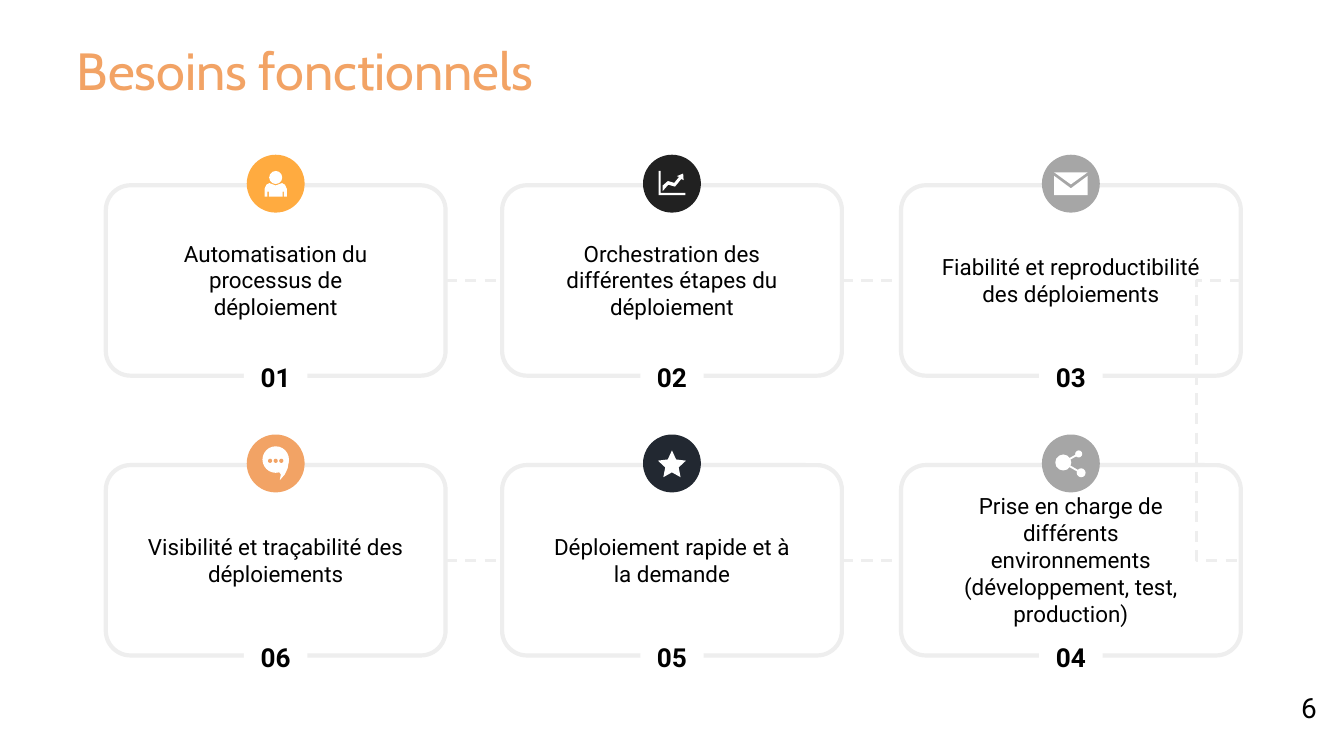
from lxml import etree
from pptx import Presentation
from pptx.dml.color import RGBColor
from pptx.enum.dml import MSO_LINE
from pptx.enum.shapes import MSO_CONNECTOR, MSO_SHAPE
from pptx.enum.text import MSO_ANCHOR, PP_ALIGN
from pptx.oxml.ns import qn
from pptx.util import Pt

ROUND, RECT = MSO_SHAPE.ROUNDED_RECTANGLE, MSO_SHAPE.RECTANGLE
OVAL, STAR = MSO_SHAPE.OVAL, MSO_SHAPE.STAR_5_POINT
STRAIGHT, ELBOW = MSO_CONNECTOR.STRAIGHT, MSO_CONNECTOR.ELBOW
DASH = MSO_LINE.DASH
TOP, MIDDLE = MSO_ANCHOR.TOP, MSO_ANCHOR.MIDDLE
LEFT, CENTER = PP_ALIGN.LEFT, PP_ALIGN.CENTER

WHITE, BLACK, GREY, PEACH = "FFFFFF", "000000", "EEEEEE", "F2A365"
MIDS = (147.7, 360, 573.7)
TOPS = (99.3, 249.2)
CARD_W, CARD_H = 182, 102
TEXT_W, TEXT_H = 152.6, 48
DISC = 15.5
RISE = 0.9


def color(code):
    return RGBColor.from_string(code)


def paint(shape, fill=None, line=None):
    shape.shadow.inherit = False
    if fill:
        shape.fill.solid()
        shape.fill.fore_color.rgb = color(fill)
    else:
        shape.fill.background()
    if line:
        shape.line.color.rgb = color(line)
        shape.line.width = Pt(2.25)
    else:
        shape.line.fill.background()
    return shape


def add_block(slide, kind, x, y, w, h, fill=None, line=None):
    shape = slide.shapes.add_shape(kind, Pt(x), Pt(y), Pt(w), Pt(h))
    return paint(shape, fill, line)


def add_dot(slide, x, y, r, fill=WHITE):
    add_block(slide, OVAL, x - r, y - r, 2 * r, 2 * r, fill)


def add_form(slide, x, y, points):
    spots = [(Pt(x + dx), Pt(y + dy)) for dx, dy in points]
    form = slide.shapes.build_freeform(*spots[0])
    form.add_line_segments(spots[1:])
    paint(form.convert_to_shape(), WHITE)


def write(shape, text, size, font="Roboto", ink=BLACK, bold=False,
          align=CENTER, anchor=TOP):
    frame = shape.text_frame
    frame.word_wrap = True
    frame.vertical_anchor = anchor
    frame.margin_left = frame.margin_right = Pt(7.2)
    frame.margin_top = frame.margin_bottom = Pt(7.2)
    line = frame.paragraphs[0]
    line.alignment = align
    run = line.add_run()
    run.text = text
    run.font.size = Pt(size)
    run.font.name = font
    run.font.bold = bold
    run.font.color.rgb = color(ink)


def add_text(slide, x, y, w, h, text, size, **style):
    box = slide.shapes.add_textbox(Pt(x), Pt(y), Pt(w), Pt(h))
    write(box, text, size, **style)


def add_line(slide, kind, x1, y1, x2, y2, ink, width):
    line = slide.shapes.add_connector(kind, Pt(x1), Pt(y1), Pt(x2), Pt(y2))
    line.line.color.rgb = color(ink)
    line.line.width = Pt(width)
    etree.SubElement(line._element.spPr, qn("a:effectLst"))
    return line


def link(slide, first, last, kind=STRAIGHT, side=1):
    line = add_line(slide, kind, 0, 0, 0, 0, GREY, 1.5)
    line.begin_connect(first, 3)
    line.end_connect(last, side)
    line.line.dash_style = DASH
    return line


def link_rows(slide, upper, lower):
    line = link(slide, upper, lower, ELBOW, 3)
    reach, span = 20.9, 0.05
    line.width = Pt(span)
    geom = line._element.spPr.find(qn("a:prstGeom"))
    guides = geom.find(qn("a:avLst"))
    if guides is None:
        guides = etree.SubElement(geom, qn("a:avLst"))
    guide = etree.SubElement(guides, qn("a:gd"))
    guide.set("name", "adj1")
    guide.set("fmla", f"val {round(reach / span * 100000)}")


def draw_user(slide, x, y):
    add_dot(slide, x, y - 3.3, 3.5)
    add_form(slide, x, y, [
        (-6, 7), (-6, 2.8), (-5, 0.6), (-3.4, -0.3), (0, 1), (3.4, -0.3),
        (5, 0.6), (6, 2.8), (6, 7), (4.4, 7), (4.4, 4.3), (3.7, 4.3),
        (3.7, 7), (-3.7, 7), (-3.7, 4.3), (-4.4, 4.3), (-4.4, 7)])


def draw_trend(slide, x, y):
    add_form(slide, x, y, [(-7.2, -6.8), (-6, -6.8), (-6, 5), (7.2, 5),
                           (7.2, 6.2), (-7.2, 6.2)])
    add_form(slide, x, y, [
        (6, -5.4), (2.6, -4), (3.8, -3.6), (1.2, -0.4), (-2.2, -1.4),
        (-5, 1), (-5, 4), (-2, 0.6), (1.6, 1.6), (5, -2.5), (6.2, -1.9)])


def draw_mail(slide, x, y):
    add_form(slide, x, y, [(-9, -4.2), (0, 2.5), (9, -4.2), (9, 6.1),
                           (-9, 6.1)])
    add_form(slide, x, y, [(-9, -6.1), (9, -6.1), (0, 0.4)])


def draw_chat(slide, x, y):
    add_dot(slide, x, y - 2.1, 7.1)
    add_form(slide, x, y, [(7.1, -2), (6.4, 2.7), (4.8, 6), (2.2, 9),
                           (2.8, 6), (1.7, 4.4)])
    for dx in (-3, 0, 3):
        add_dot(slide, x + dx, y - 1.4, 1.1, PEACH)


def draw_star(slide, x, y):
    star = add_block(slide, STAR, x - 7.5, y - 7, 15, 14.4, WHITE)
    star.adjustments[0] = 0.24


def draw_share(slide, x, y):
    hub = (x - 4.1, y - 0.5)
    add_dot(slide, *hub, 4.3)
    for dx, dy, r in ((4.2, -5.1, 1.9), (5.5, 5, 2.4)):
        add_line(slide, STRAIGHT, *hub, x + dx, y + dy, WHITE, 1)
        add_dot(slide, x + dx, y + dy, r)


def add_card(slide, mid, top, label, text, fill, draw):
    card = add_block(slide, ROUND, mid - CARD_W / 2, top, CARD_W, CARD_H,
                     line=GREY)
    card.adjustments[0] = 0.13
    add_text(slide, mid - TEXT_W / 2, top + 26.7, TEXT_W, TEXT_H, text, 12,
             anchor=MIDDLE)
    add_dot(slide, mid, top - RISE, DISC, fill)
    draw(slide, mid, top - RISE)
    badge = add_block(slide, RECT, mid - 17, top + 87.2, 34, 30, WHITE)
    write(badge, label, 14, bold=True)
    return card


def main():
    deck = Presentation()
    deck.slide_width, deck.slide_height = Pt(720), Pt(405)
    slide = deck.slides.add_slide(deck.slide_layouts[6])
    add_text(slide, -10, -60, 347, 195, "Besoins fonctionnels", 28,
             font="Cabin", ink=PEACH, anchor=MIDDLE)

    needs = (
        (("01", "Automatisation du processus de déploiement",
          "FFAB40", draw_user),
         ("02", "Orchestration des différentes étapes du déploiement",
          "212121", draw_trend),
         ("03", "Fiabilité et reproductibilité des déploiements",
          "A6A6A6", draw_mail)),
        (("06", "Visibilité et traçabilité des déploiements",
          PEACH, draw_chat),
         ("05", "Déploiement rapide et à la demande",
          "222831", draw_star),
         ("04", "Prise en charge de différents environnements "
          "(développement, test, production)", "A6A6A6", draw_share)),
    )
    ends = []
    for top, row in zip(TOPS, needs):
        cards = [add_card(slide, mid, top, *need)
                 for mid, need in zip(MIDS, row)]
        for first, last in zip(cards, cards[1:]):
            link(slide, first, last)
        ends.append(cards[-1])
    link_rows(slide, *ends)

    add_text(slide, 690, 363, 30, 42, "6", 15, align=LEFT)
    deck.save("out.pptx")


if __name__ == "__main__":
    main()
